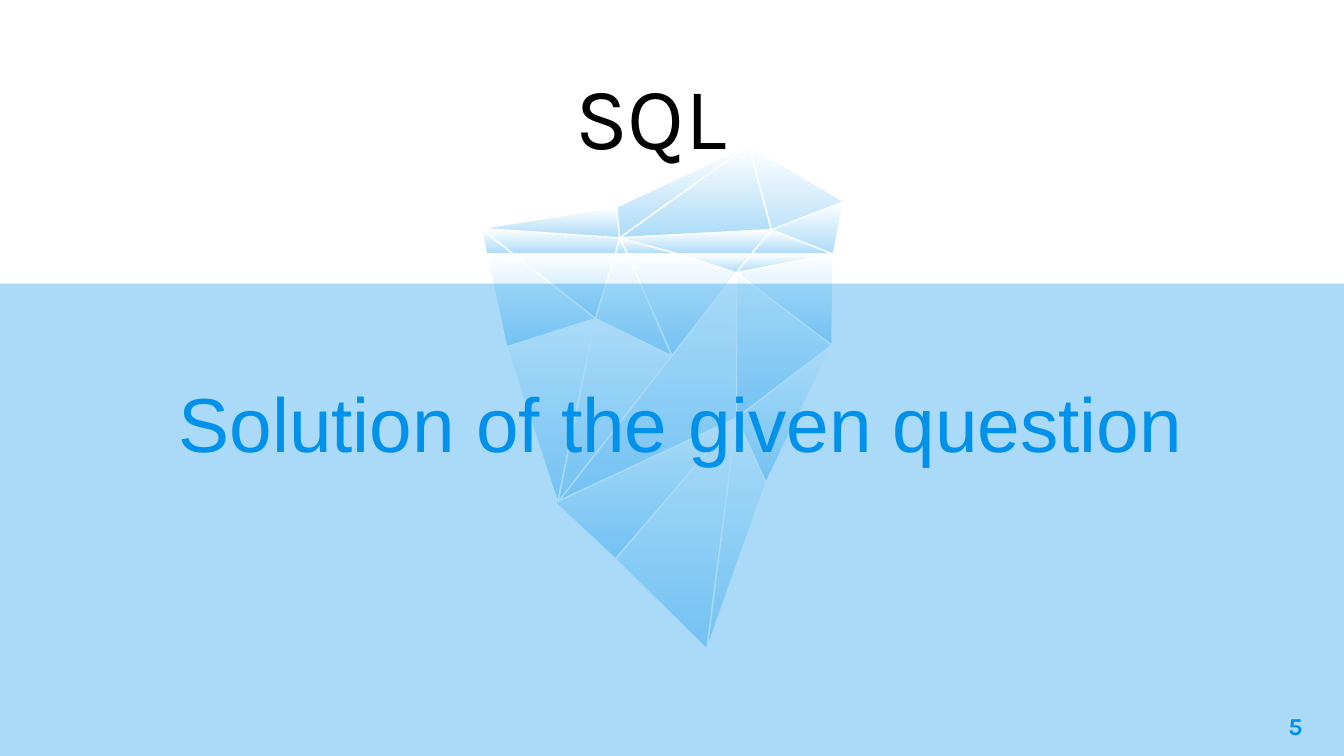
from lxml import etree
from pptx import Presentation
from pptx import util as u
from pptx.dml.color import RGBColor
from pptx.enum import shapes, text
from pptx.oxml.ns import qn

THEME = {
    "blue": RGBColor.from_string("0091EA"),
    "ice": RGBColor.from_string("ACDBF8"),
    "white": RGBColor.from_string("FFFFFF"),
    "black": RGBColor.from_string("000000"),
    "title_font": "Arial", "label_font": "Karla",
    "title_size": 41, "heading_size": 47, "number_size": 13,
}

# Corners of the iceberg, in inches
WATERLINE = 1.89
CORNERS = {
    "peak": (5.57, 1.08), "east": (6.28, 1.5), "shoulder": (5.74, 1.71),
    "saddle": (4.61, 1.77), "west": (3.58, 1.7), "ridge": (4.59, 1.54),
    "w1": (3.62, WATERLINE), "w2": (3.82, WATERLINE), "w3": (4.58, WATERLINE),
    "w4": (4.67, WATERLINE), "w5": (5.05, WATERLINE), "w6": (5.59, WATERLINE),
    "w7": (6.2, WATERLINE),
    "hub": (5.48, 2.03), "right": (6.19, 2.57), "core": (5.48, 3.11),
    "notch": (4.43, 2.37), "left": (3.77, 2.58), "middle": (5, 2.65),
    "low_left": (4.15, 3.74), "edge_left": (4.13, 3.74),
    "low_right": (5.7, 3.59), "base": (4.58, 4.16), "tip": (5.26, 4.83),
}

# Facets from back to front
FACETS = [
    "w7 west w2",
    "peak saddle shoulder",
    "peak east w7 shoulder",
    "west w2 w1",
    "saddle w3 w2 west",
    "peak saddle west ridge",
    "shoulder w7 w6",
    "w4 saddle w5",
    "west w2 w1",
    "ridge saddle west",
    "east shoulder w7",
    "w4 saddle w3",
    "w7 right core hub",
    "notch low_left left",
    "w3 notch w2",
    "core low_right tip",
    "w7 hub w6",
    "middle w4 w5 hub",
    "middle notch low_left",
    "hub low_left core",
    "w2 notch left w1",
    "w7 hub right",
    "notch middle w4 w3",
    "edge_left core base",
    "base tip core",
    "right low_right core",
    "saddle shoulder w6 w5",
    "hub w6 w5",
]


def place(box, left, top, width, height):
    box.left, box.top = u.Inches(left), u.Inches(top)
    box.width, box.height = u.Inches(width), u.Inches(height)


def write(box, words, font, size, color, align=text.PP_ALIGN.LEFT, bold=False):
    frame = box.text_frame
    frame.text = words
    frame.word_wrap = True
    frame.auto_size = text.MSO_AUTO_SIZE.NONE
    frame.margin_left = frame.margin_right = u.Inches(0.1)
    frame.margin_top = frame.margin_bottom = u.Inches(0.1)
    para = frame.paragraphs[0]
    para.alignment = align
    span = para.runs[0]
    span.font.name, span.font.size = font, u.Pt(size)
    span.font.bold = bold
    span.font.color.rgb = color


# Widescreen page, 16:9
deck = Presentation()
deck.slide_width = u.Inches(10)
deck.slide_height = deck.slide_width * 9 // 16
page = deck.slides.add_slide(deck.slide_layouts[5])

# Iceberg
iceberg = page.shapes.add_group_shape()
for facet in FACETS:
    points = [tuple(u.Inches(length) for length in CORNERS[name])
              for name in facet.split()]
    outline = iceberg.shapes.build_freeform(*points[0])
    outline.add_line_segments(points[1:], close=True)
    shape = outline.convert_to_shape()
    shape.shadow.inherit = False
    shape.fill.gradient()
    shape.fill.gradient_angle = 270
    for stop, color in zip(shape.fill.gradient_stops, ("white", "ice")):
        stop.color.rgb = THEME[color]
    shape.line.color.rgb = THEME["white"]
    shape.line.width = u.Pt(0.75)

# Title, between the iceberg and the water
title = page.shapes.title
page.shapes.element.append(title.element)
place(title, 0.91, 2.16, 8.28, 2.11)
write(title, "Solution of the given question",
      THEME["title_font"], THEME["title_size"], THEME["blue"])
title.text_frame.vertical_anchor = text.MSO_ANCHOR.BOTTOM
title.text_frame.margin_left = u.Inches(0.42)
title.text_frame.margin_bottom = u.Inches(0.79)

# Translucent water
water = page.shapes.add_shape(shapes.MSO_SHAPE.RECTANGLE, 0, u.Inches(2.11),
                              u.Inches(10), u.Inches(3.52))
water.shadow.inherit = False
water.fill.solid()
water.fill.fore_color.rgb = THEME["blue"]
water.line.fill.background()
tint = water.element.spPr.find(qn("a:solidFill")).find(qn("a:srgbClr"))
etree.SubElement(tint, qn("a:alpha")).set("val", "33000")

# Page number
number = page.shapes.add_textbox(0, 0, 0, 0)
place(number, 9.19, 5.19, 0.6, 0.43)
write(number, "5", THEME["label_font"], THEME["number_size"], THEME["blue"],
      text.PP_ALIGN.RIGHT, bold=True)

# Heading above the iceberg
heading = page.shapes.add_textbox(0, 0, 0, 0)
place(heading, 4.18, 0.36, 2.15, 0.99)
write(heading, "SQL", THEME["label_font"], THEME["heading_size"], THEME["black"])

deck.save("out.pptx")
